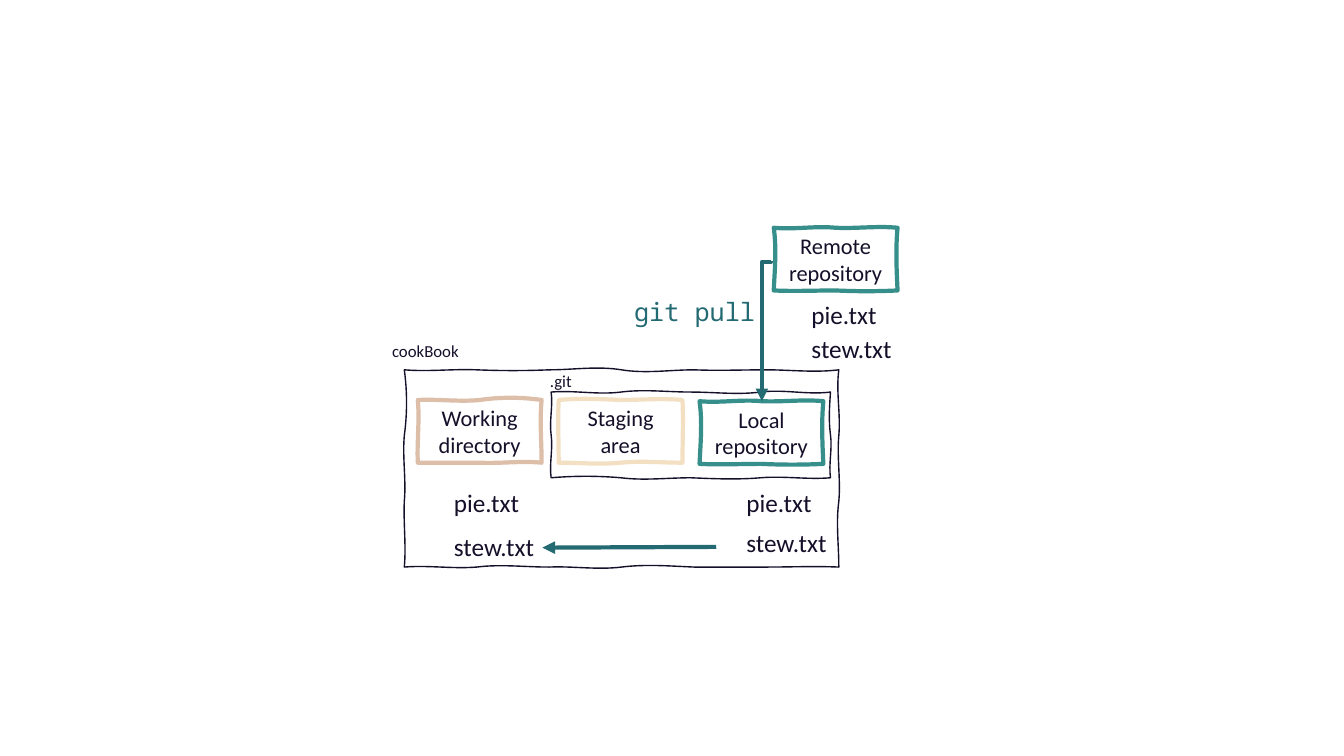
from lxml import etree
from pptx import Presentation
from pptx.dml.color import RGBColor
from pptx.enum.shapes import MSO_CONNECTOR
from pptx.enum.text import MSO_ANCHOR, MSO_AUTO_SIZE, PP_ALIGN
from pptx.oxml.ns import qn
from pptx.util import Cm, Pt

STRAIGHT, ELBOW = MSO_CONNECTOR.STRAIGHT, MSO_CONNECTOR.ELBOW
CENTER, MIDDLE = PP_ALIGN.CENTER, MSO_ANCHOR.MIDDLE
GROW = MSO_AUTO_SIZE.SHAPE_TO_FIT_TEXT

INK = RGBColor(0x16, 0x0F, 0x29)
TEAL = RGBColor(0x36, 0x8F, 0x8B)
DARK_TEAL = RGBColor(0x24, 0x6A, 0x73)
TAN = RGBColor(0xDD, 0xBE, 0xA8)
CREAM = RGBColor(0xF3, 0xDF, 0xC1)

BODY, MONO = "Calibri", "Noto Sans Mono"
STAGE_W, STAGE_H = 3.12, 1.58

# Top, right, bottom and left side of each sketched box: for every curve,
# how far its two control points stray from the straight side, in millimetres.
WORKING_SIDES = [[(-0.25, 0.5), (-0.75, -0.75)], [(-0.5, 0)],
                 [(-0.5, 0.25), (0, 0)], [(-0.25, 0.5)]]
STAGING_SIDES = [[(-0.5, -0.25), (0, -0.5)], [(0.25, 0)],
                 [(0, -0.5), (0.5, 0)], [(0, -0.25)]]
REPOSITORY_SIDES = [[(0.5, -0.5), (0.25, -0.5)], [(-0.5, -0.25)],
                    [(0.25, 0.25), (0, 0.25)], [(0.25, 0.75)]]
COOKBOOK_SIDES = [
    [(0.5, -0.25), (0.25, 0.25), (0, -1), (1, 0), (0.25, 0), (0, 0.75)],
    [(-0.75, 0.5), (-0.5, 0.5), (-0.75, 0)],
    [(-0.25, 0), (0, 0), (-0.25, -0.75), (0.75, -0.25), (0, -0.75), (0.5, -0.5)],
    [(0.5, -0.25), (0.5, -0.5), (0.75, 0.75)]]
GIT_SIDES = [[(-0.5, 0.75), (-0.75, 0), (0, 0.75), (-0.75, 0.75)],
             [(-0.25, -0.5), (0.5, -0.5)],
             [(0.5, -0.5), (0.5, 0.25), (0, 0.75), (-0.5, -0.5)],
             [(-0.5, 0.5), (-0.5, 0.5)]]


def write(tf, text, size=18, font=BODY, color=INK, align=None):
    p = tf.paragraphs[0]
    p.alignment = align
    r = p.add_run()
    r.text = text
    r.font.size = Pt(size)
    r.font.name = font
    r.font.color.rgb = color


def wavy_curves(w, h, sides):
    """Control, control and end point of each curve, clockwise from the top left."""
    runs = [(0, 0, w, 0), (w, 0, 0, h), (w, h, -w, 0), (0, h, 0, -h)]
    curves = []
    for (x, y, dx, dy), side in zip(runs, sides):
        for i, (first, second) in enumerate(side):
            curve = []
            for step, stray in [(1 / 3, first), (2 / 3, second), (1, 0)]:
                t = (i + step) / len(side)
                curve.append((Cm(x + dx * t + (stray / 10 if dy else 0)),
                              Cm(y + dy * t + (stray / 10 if dx else 0))))
            curves.append(curve)
    return curves


class Diagram:
    def __init__(self, slide):
        self.shapes = slide.shapes

    def sketch_box(self, x, y, w, h, color, weight, sides):
        curves = wavy_curves(w, h, sides)
        builder = self.shapes.build_freeform(0, 0)
        builder.add_line_segments([curve[-1] for curve in curves], close=True)
        sp = builder.convert_to_shape(Cm(x), Cm(y))
        segments = list(sp._element.spPr.iter(qn("a:lnTo")))
        for segment, curve in zip(segments, curves):
            segment.tag = qn("a:cubicBezTo")
            for i, (px, py) in enumerate(curve[:2]):
                segment.insert(i, etree.Element(qn("a:pt"), x=str(int(px)), y=str(int(py))))
        sp.shadow.inherit = False
        sp.fill.background()
        sp.line.color.rgb = color
        sp.line.width = Pt(weight)
        return sp

    def stage(self, text, x, y, color, sides):
        sp = self.sketch_box(x, y, STAGE_W, STAGE_H, color, 3, sides)
        tf = sp.text_frame
        tf.word_wrap = True
        tf.vertical_anchor = MIDDLE
        write(tf, text, size=16, align=CENTER)

    def label(self, text, x, y, w, h=1.02, wrap=True, **style):
        tf = self.shapes.add_textbox(Cm(x), Cm(y), Cm(w), Cm(h)).text_frame
        tf.word_wrap = wrap
        tf.auto_size = GROW
        write(tf, text, **style)

    def arrow(self, kind, x1, y1, x2, y2):
        c = self.shapes.add_connector(kind, Cm(x1), Cm(y1), Cm(x2), Cm(y2))
        c.line.color.rgb = DARK_TEAL
        c.line.width = Pt(3)
        etree.SubElement(c.line._get_or_add_ln(), qn("a:tailEnd"), type="triangle")
        etree.SubElement(c._element.spPr, qn("a:effectLst"))
        return c

    def down_arrow(self, x1, y1, x2, y2):
        """Elbow that steps left at once and then runs down: a quarter-turned connector."""
        cx, cy = (x1 + x2) / 2, (y1 + y2) / 2
        half_run, half_step = (y2 - y1) / 2, (x1 - x2) / 2
        c = self.arrow(ELBOW, cx - half_run, cy - half_step,
                       cx + half_run, cy + half_step)
        sp_pr = c._element.spPr
        sp_pr.find(qn("a:xfrm")).set("rot", "5400000")
        adjustments = sp_pr.find(qn("a:prstGeom")).find(qn("a:avLst"))
        etree.SubElement(adjustments, qn("a:gd"), name="adj1", fmla="val 600")


def main():
    prs = Presentation()
    prs.slide_width, prs.slide_height = Cm(33.87), Cm(19.05)
    d = Diagram(prs.slides.add_slide(prs.slide_layouts[6]))

    for text, x, y, color, sides in [
            ("Working directory", 10.53, 10.08, TAN, WORKING_SIDES),
            ("Staging area", 14.08, 10.08, CREAM, STAGING_SIDES),
            ("Local repository", 17.63, 10.11, TEAL, REPOSITORY_SIDES),
            ("Remote repository", 19.5, 5.74, TEAL, REPOSITORY_SIDES)]:
        d.stage(text, x, y, color, sides)

    d.sketch_box(10.19, 9.32, 10.95, 4.97, INK, 1, COOKBOOK_SIDES)
    d.label("cookBook", 9.63, 8.46, 2.24, 0.76, wrap=False, size=12)
    d.sketch_box(13.89, 9.88, 7.04, 2.16, INK, 1, GIT_SIDES)
    d.label(".git", 13.61, 9.22, 1.07, 0.76, wrap=False, size=12)

    for x, pie_y, stew_y in [(11.19, 12.15, 13.26),
                             (18.56, 12.15, 13.16),
                             (20.2, 7.42, 8.28)]:
        d.label("pie.txt", x, pie_y, 2.51)
        d.label("stew.txt", x, stew_y, 3.12)

    d.label("git pull", 15.73, 7.34, 4.8, font=MONO, color=DARK_TEAL)
    d.down_arrow(19.43, 6.58, 19.2, 10.11)
    d.arrow(STRAIGHT, 18.05, 13.78, 13.67, 13.8)

    prs.save("out.pptx")


if __name__ == "__main__":
    main()
